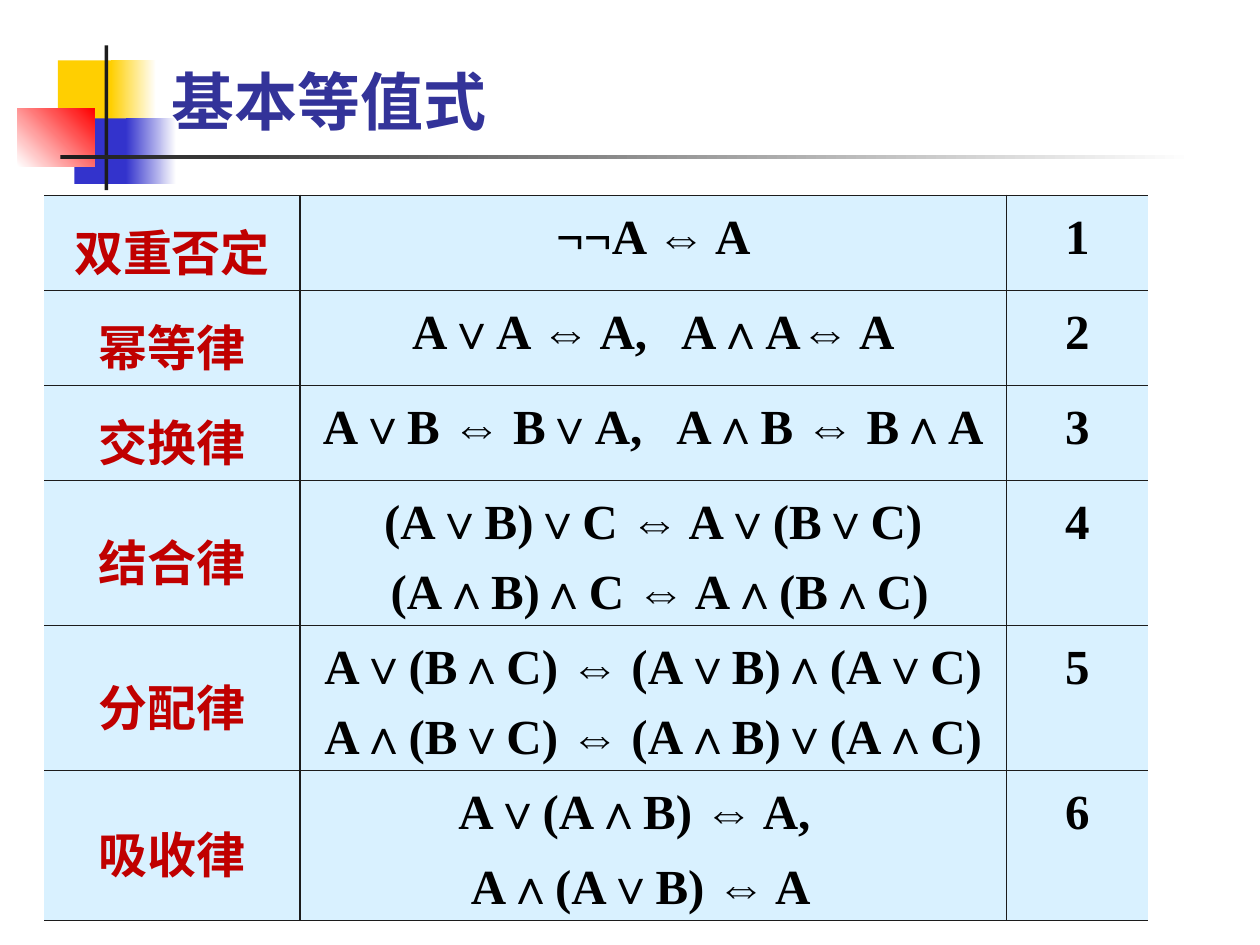
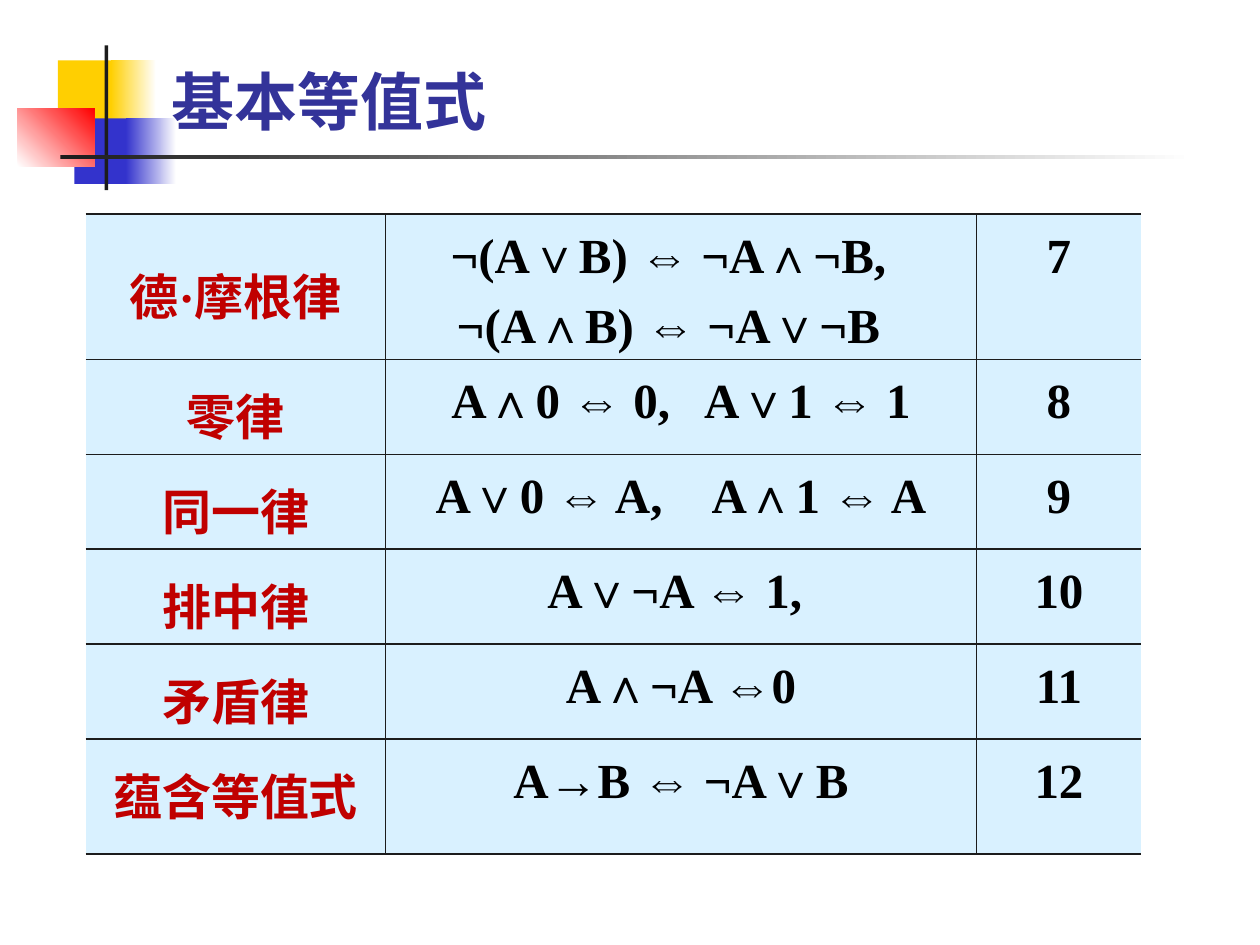
from lxml.etree import SubElement
from pptx import Presentation
from pptx.dml.color import RGBColor
from pptx.enum.shapes import MSO_SHAPE
from pptx.enum.text import MSO_ANCHOR, PP_ALIGN
from pptx.oxml import parse_xml
from pptx.oxml.ns import nsdecls, qn
from pptx.util import Inches, Pt

WHITE = RGBColor(0xFF, 0xFF, 0xFF)
BLACK = RGBColor(0x00, 0x00, 0x00)
INK = RGBColor(0x1C, 0x1C, 0x1C)
YELLOW = RGBColor(0xFF, 0xCF, 0x01)
BLUE = RGBColor(0x33, 0x33, 0xCC)
RED = RGBColor(0xFF, 0x00, 0x00)
NAVY = RGBColor(0x33, 0x33, 0x99)
LAW_RED = RGBColor(0xC0, 0x00, 0x00)
PALE = RGBColor(0xD9, 0xF1, 0xFF)
TITLE_FONT, BODY_FONT = "Roboto", "Times New Roman"
NO_STYLE = "{2D5ABB26-0587-4C30-8999-92F81FD0307C}"
GAP = "\u2002 "  # en space and space between two formulas
WIDE_GAP = "\u2002\u2002"

prs = Presentation()
prs.slide_width, prs.slide_height = Inches(10), Inches(7.5)
UNIT = prs.slide_width // 100  # square grid, 100 columns by 75 rows


def grid(*steps):
    return [int(n * UNIT) for n in steps]


def write(p, text, font, size, color):
    r = p.add_run()
    r.text = text
    r.font.name, r.font.size, r.font.bold = font, Pt(size), True
    r.font.color.rgb = color


# Shared decoration: place, start colour, end colour, angle
DECORATION = [
    ((4.6, 4.8, 4.8, 5.2), YELLOW, None, 0),
    ((8.8, 4.8, 3.6, 5.2), YELLOW, WHITE, 0),
    ((5.9, 9.4, 4.6, 5.2), BLUE, None, 0),
    ((10, 9.4, 4, 5.2), BLUE, WHITE, 0),
    ((1.4, 8.6, 6.1, 4.6), WHITE, RED, 45),
    ((8.3, 3.6, 0.3, 11.5), INK, None, 0),
    ((4.8, 12.3, 90, 0.3), INK, WHITE, 0),
]

# Each formula line: text, left indent, right indent (grid columns)
# Each law: name, formula lines, space before each line (percent)
TABLES = [
    dict(at=(3.5, 15.5, 87.7, 53.8), cols=(20.3, 56.1, 11.2),
         rows=(5, 5, 5, 9.5, 9.5, 5), first=1, middle=6, laws=[
        ("双重否定", [("¬¬A ⇔ A", 0, 0)], 20),
        ("幂等律", [("A∨A ⇔ A," + GAP + "A∧A⇔ A", 0, 0)], 20),
        ("交换律", [("A∨B ⇔ B∨A," + GAP + "A∧B ⇔ B∧A", 0, 0)], 20),
        ("结合律", [("(A∨B)∨C ⇔ A∨(B∨C)", 0, 0),
                 ("(A∧B)∧C ⇔ A∧(B∧C)", 1, 0)], 10),
        ("分配律", [("A∨(B∧C) ⇔ (A∨B)∧(A∨C)", 0, 0),
                 ("A∧(B∨C) ⇔ (A∧B)∨(A∧C)", 0, 0)], 10),
        ("吸收律", [("A∨(A∧B) ⇔ A,", 0, 3),
                 ("A∧(A∨B) ⇔ A", 1, 0)], 20),
    ]),
    dict(at=(6.8, 17, 83.8, 44.4), cols=(23.8, 46.9, 13.1),
         rows=(9.5, 4.9, 4.9, 4.9, 4.9, 9.1), first=7, middle=1, laws=[
        ("德·摩根律", [("¬(A∨B) ⇔ ¬A∧¬B,", 0, 2),
                   ("¬(A∧B) ⇔ ¬A∨¬B", 0, 0)], 10),
        ("零律", [("A∧0 ⇔ 0," + GAP + "A∨1 ⇔ 1", 0, 0)], 20),
        ("同一律", [("A∨0 ⇔ A," + WIDE_GAP + "A∧1 ⇔ A", 0, 0)], 20),
        ("排中律", [("A∨¬A ⇔ 1,", 0, 1)], 20),
        ("矛盾律", [("A∧¬A ⇔0", 0, 0)], 20),
        ("蕴含等值式", [("A→B ⇔ ¬A∨B", 0, 0)], 20),
    ]),
]

layout = prs.slide_layouts[5]
for number, spec_table in enumerate(TABLES):
    s = prs.slides.add_slide(layout)

    # Decoration is drawn once and moved to the layout
    if number == 0:
        for i, (at, start, end, angle) in enumerate(DECORATION):
            sp = s.shapes.add_shape(MSO_SHAPE.RECTANGLE, *grid(*at))
            sp.shadow.inherit = False
            sp.line.fill.background()
            if end is None:
                sp.fill.solid()
                sp.fill.fore_color.rgb = start
            else:
                sp.fill.gradient()
                sp.fill.gradient_angle = angle
                for stop, color in zip(sp.fill.gradient_stops, (start, end)):
                    stop.color.rgb = color
            sp.element.nvSpPr.cNvPr.set("id", str(20 + i))
            layout.shapes.element.append(sp.element)

    # Title
    title = s.shapes.title
    title.left, title.top, title.width, title.height = grid(12.6, 0.8, 85.2, 10.7)
    tf = title.text_frame
    tf.vertical_anchor = MSO_ANCHOR.BOTTOM
    tf.paragraphs[0].alignment = PP_ALIGN.LEFT
    write(tf.paragraphs[0], "基本等值式", TITLE_FONT, 36, NAVY)

    # Table of laws
    laws = spec_table["laws"]
    frame = s.shapes.add_table(len(laws), 3, *grid(*spec_table["at"]))
    table = frame.table
    table.first_row = table.horz_banding = False
    frame.element.find(".//" + qn("a:tableStyleId")).text = NO_STYLE
    for column, width in zip(table.columns, grid(*spec_table["cols"])):
        column.width = width
    for row, height in zip(table.rows, grid(*spec_table["rows"])):
        row.height = height
    frame.height = grid(spec_table["at"][3])[0]

    for i, (name, formulas, before) in enumerate(laws):
        contents = [
            ([(name, 0, 0)], 20, LAW_RED),
            (formulas, before, BLACK),
            ([(str(spec_table["first"] + i), 0, 0)], 20, BLACK),
        ]
        for j, (lines, space, color) in enumerate(contents):
            cell = table.cell(i, j)
            cell.margin_left = cell.margin_right = Inches(0.07)
            cell.margin_top = cell.margin_bottom = Inches(0.04)
            middle = j == 0 and i < spec_table["middle"]
            cell.vertical_anchor = MSO_ANCHOR.MIDDLE if middle else MSO_ANCHOR.TOP
            cell.fill.solid()
            cell.fill.fore_color.rgb = PALE

            # Rules on every side except the table's left and right edges
            sides = "L" * (j > 0) + "R" * (j < 2) + "TB"
            tcPr = cell._tc.get_or_add_tcPr()
            for k, side in enumerate(sides):
                tcPr.insert(k, parse_xml(
                    f'<a:ln{side} {nsdecls("a")} w="{Pt(1)}"><a:solidFill>'
                    f'<a:srgbClr val="{INK}"/></a:solidFill></a:ln{side}>'))

            # Text, with space before as a share of the line
            tf = cell.text_frame
            for k, (text, left, right) in enumerate(lines):
                p = tf.add_paragraph() if k else tf.paragraphs[0]
                p.alignment = PP_ALIGN.CENTER
                p.line_spacing = 1.2
                pPr = p._p.get_or_add_pPr()
                spacing = SubElement(pPr, qn("a:spcBef"))
                SubElement(spacing, qn("a:spcPct"), val=str(space * 1000))
                for key, indent in (("marL", left), ("marR", right)):
                    if indent:
                        pPr.set(key, str(indent * UNIT))
                write(p, text, BODY_FONT, 28, color)

prs.save("out.pptx")
